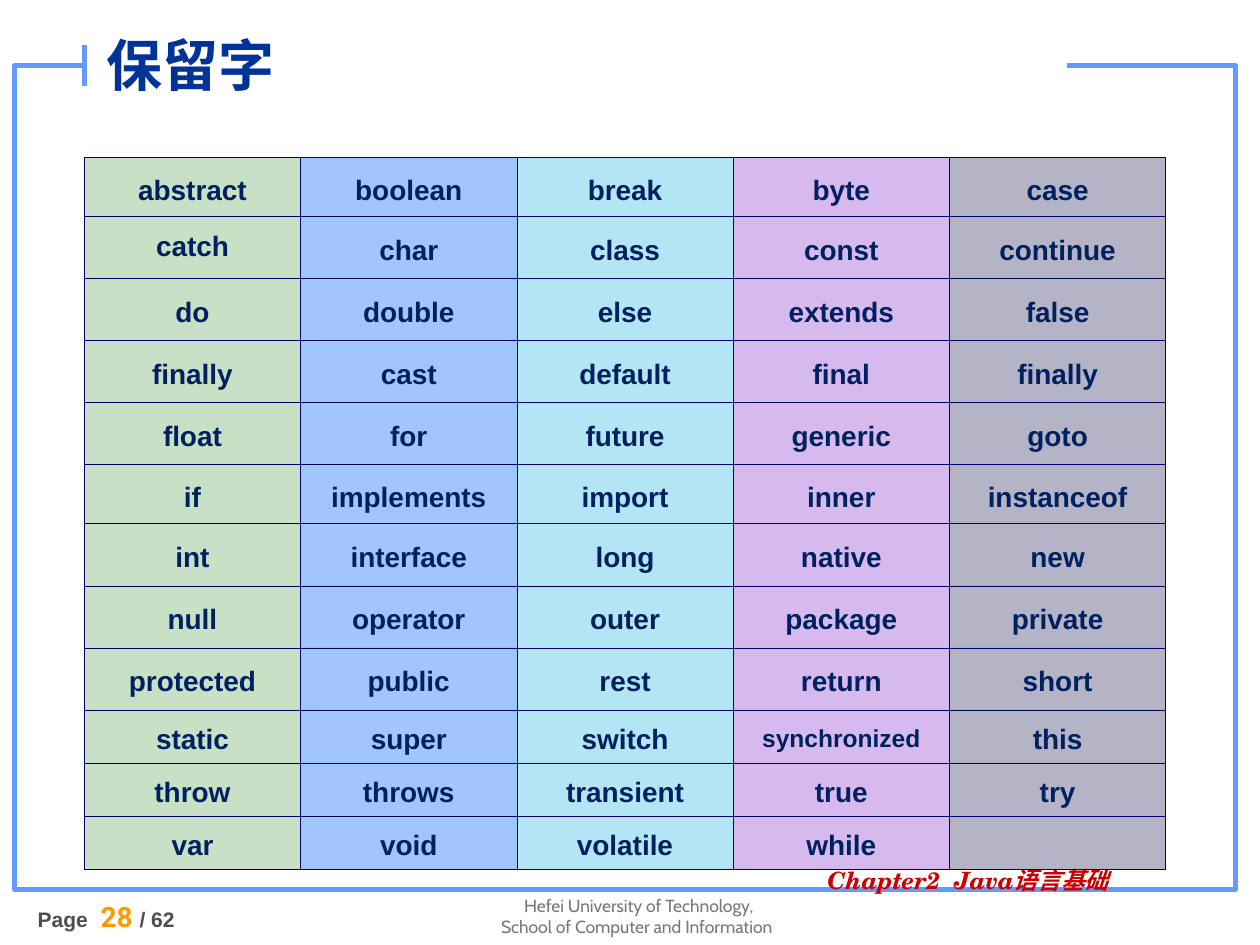
"""Build the slide that lists the Java reserved words in a table."""
from lxml import etree
from pptx import Presentation
from pptx.dml.color import RGBColor
from pptx.enum import shapes as sh, text as tx
from pptx.oxml import ns
from pptx.util import Cm, Pt

BLUE = RGBColor(0x66, 0x99, 0xFF)
WHITE = RGBColor(0xFF, 0xFF, 0xFF)
NAVY = RGBColor(0x00, 0x20, 0x60)
ROYAL = RGBColor(0x00, 0x33, 0x99)
RED = RGBColor(0xCC, 0x00, 0x00)
GRAY = RGBColor(0x77, 0x77, 0x77)
DARK = RGBColor(0x4D, 0x4D, 0x4D)
AMBER = RGBColor(0xFF, 0x99, 0x00)
EDGE = RGBColor(0x00, 0x00, 0x66)
TINTS = [
    (RGBColor(0x58, 0xA2, 0x52), 33),
    (RGBColor(0x00, 0x66, 0xFF), 37),
    (RGBColor(0x35, 0xBB, 0xE5), 37),
    (RGBColor(0x87, 0x2E, 0xCA), 33),
    (RGBColor(0x21, 0x1E, 0x54), 33),
]

WORDS = [
    "abstract boolean break byte case",
    "catch char class const continue",
    "do double else extends false",
    "finally cast default final finally",
    "float for future generic goto",
    "if implements import inner instanceof",
    "int interface long native new",
    "null operator outer package private",
    "protected public rest return short",
    "static super switch synchronized this",
    "throw throws transient true try",
    "var void volatile while",
]
ROWS = [1.19] + [1.25] * 4 + [1.19] + [1.25] * 3 + [1.07] * 3
COL = 4.36
SIZES = {"synchronized": 14}
LEADS = {"catch": 0.9}
PLAIN = "{2D5ABB26-0587-4C30-8999-92F81FD0307C}"

HEAD = {"name": "Arial", "size": Pt(32), "bold": True, "color": ROYAL}
MARK = {"name": "TeX Gyre Schola", "size": Pt(13.6), "bold": True,
        "italic": True, "color": RED}
SCHOOL = {"name": "Cabin", "size": Pt(10), "color": GRAY}
PAGE = {"name": "Arial", "size": Pt(12), "bold": True, "color": DARK}
COUNT = {"name": "Roboto", "size": Pt(16), "color": AMBER}
WORD = {"name": "Arial", "size": Pt(16), "bold": True, "color": NAVY}

MID = {"vertical_anchor": tx.MSO_ANCHOR.MIDDLE}
CENTER = {"alignment": tx.PP_ALIGN.CENTER}
TEXTS = [
    ((9.65, 17.91, 6.45, 1.1), {}, CENTER,
     [[("Hefei University of Technology,", SCHOOL)],
      [("School of Computer and Information ", SCHOOL)]]),
    ((0.51, 18.01, 4.6, 1), {}, {},
     [[("Page ", PAGE), (" ", COUNT), ("28 ", {**COUNT, "bold": True}),
       ("/ 62", PAGE)]]),
    ((16.43, 17.4, 7.8, 0.89), {}, {"line_spacing": 0.9},
     [[("Chapter2  Java语言基础", MARK)]]),
    ((1.9, 0.28, 17.2, 2.03), MID, {}, [[("保留字", HEAD)]]),
]


def assign(item, form):
    for key, val in form.items():
        if key == "color":
            item.color.rgb = val
        else:
            setattr(item, key, val)


def add_run(para, words, form):
    run = para.add_run()
    run.text = words
    assign(run.font, form)


def add_text(slide, area, box, form, lines):
    frame = slide.shapes.add_textbox(*map(Cm, area)).text_frame
    assign(frame, {"word_wrap": True, **box})
    for i, line in enumerate(lines):
        para = frame.add_paragraph() if i else frame.paragraphs[0]
        assign(para, form)
        for words, font in line:
            add_run(para, words, font)


def add_frame(slide):
    kind = sh.MSO_SHAPE.RECTANGLE
    frame = slide.shapes.add_shape(kind, *map(Cm, (0.3, 1.32, 24.61, 16.61)))
    mask = slide.shapes.add_shape(kind, *map(Cm, (1.7, 0.71, 19.81, 0.89)))
    tick = slide.shapes.add_connector(
        sh.MSO_CONNECTOR.STRAIGHT, *map(Cm, (1.7, 0.91, 1.7, 1.73)))
    for part in (frame, mask):
        part.shadow.inherit = False
    etree.SubElement(tick._element.spPr, ns.qn("a:effectLst"))
    frame.fill.background()
    mask.fill.solid()
    mask.fill.fore_color.rgb = WHITE
    mask.line.fill.background()
    for part in (frame, tick):
        assign(part.line, {"color": BLUE, "width": Pt(3)})


def add_edges(cell):
    props = cell._tc.get_or_add_tcPr()
    for i, side in enumerate(("lnL", "lnR", "lnT", "lnB")):
        line = etree.Element(ns.qn("a:" + side), w=str(Pt(0.45)))
        fill = etree.SubElement(line, ns.qn("a:solidFill"))
        etree.SubElement(fill, ns.qn("a:srgbClr"), val=str(EDGE))
        props.insert(i, line)


def add_tint(cell, color, alpha):
    cell.fill.solid()
    cell.fill.fore_color.rgb = color
    node = cell._tc.tcPr.find(".//" + ns.qn("a:srgbClr"))
    etree.SubElement(node, ns.qn("a:alpha"), val=str(alpha * 1000))


def add_words(slide):
    dims = (1.7, 3.18, COL * len(TINTS), sum(ROWS))
    table = slide.shapes.add_table(
        len(ROWS), len(TINTS), *map(Cm, dims)).table
    assign(table, {"first_row": False, "horz_banding": False})
    table._tbl.tblPr.find(ns.qn("a:tableStyleId")).text = PLAIN
    for col in table.columns:
        col.width = Cm(COL)
    for r, (high, line) in enumerate(zip(ROWS, WORDS)):
        table.rows[r].height = Cm(high)
        words = line.split()
        for c, tint in enumerate(TINTS):
            cell = table.cell(r, c)
            assign(cell, MID)
            add_tint(cell, *tint)
            add_edges(cell)
            if c < len(words):
                word = words[c]
                para = cell.text_frame.paragraphs[0]
                assign(para, {**CENTER, "line_spacing": LEADS.get(word, 1.2)})
                add_run(para, word, {**WORD, "size": Pt(SIZES.get(word, 16))})


def main():
    deck = Presentation()
    assign(deck, {"slide_width": Cm(25.4), "slide_height": Cm(19.05)})
    slide = deck.slides.add_slide(deck.slide_layouts[6])
    add_frame(slide)
    for item in TEXTS:
        add_text(slide, *item)
    add_words(slide)
    deck.save("out.pptx")


if __name__ == "__main__":
    main()
